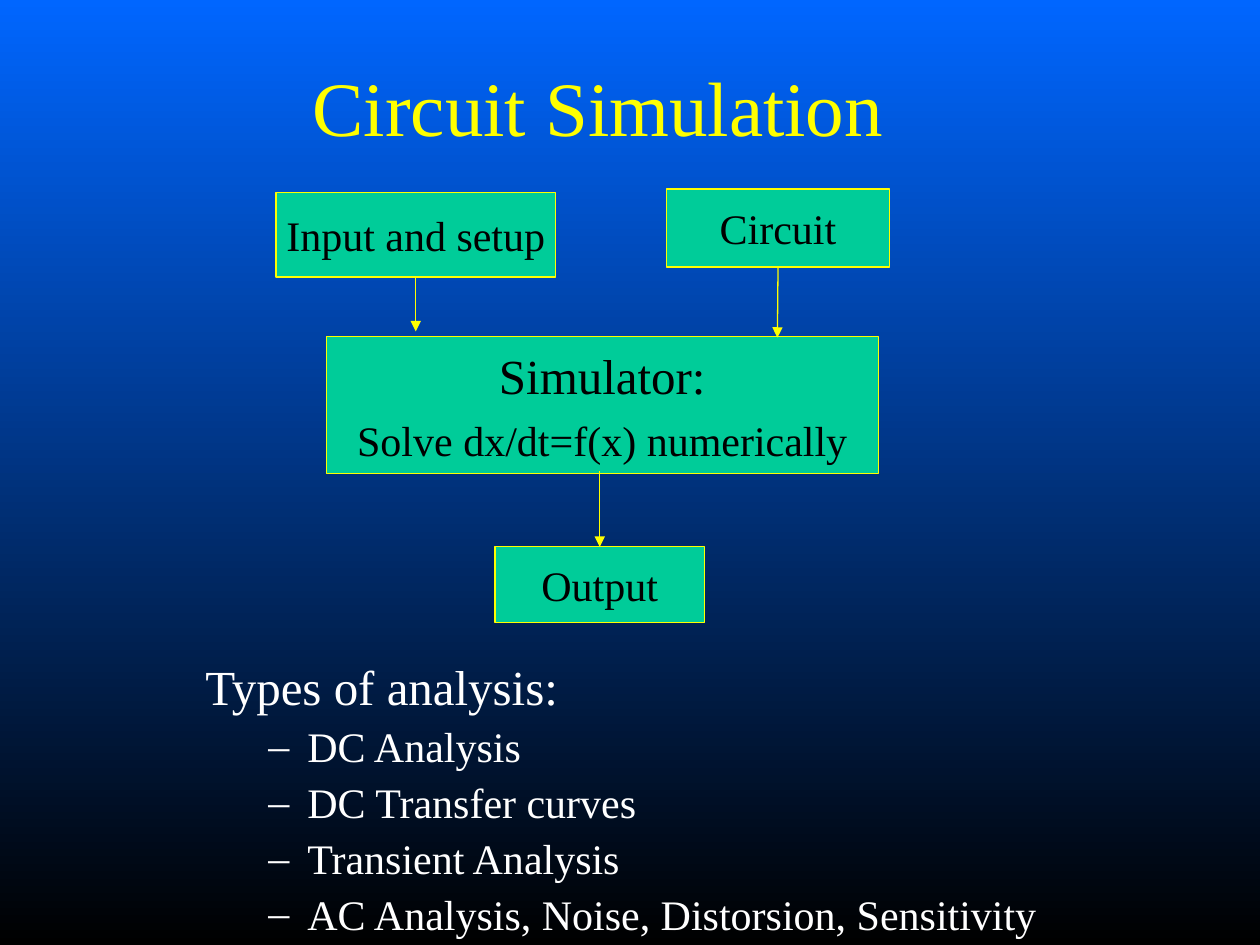
from lxml import etree
from pptx import Presentation
from pptx.dml.color import RGBColor
from pptx.enum import shapes, text
from pptx.oxml import ns
from pptx.util import Inches, Pt

BLUE = RGBColor(0x00, 0x66, 0xFF)
BLACK = RGBColor(0x00, 0x00, 0x00)
YELLOW = RGBColor(0xFF, 0xFF, 0x00)
GREEN = RGBColor(0x00, 0xCC, 0x99)
WHITE = RGBColor(0xFF, 0xFF, 0xFF)
FONT = "Times New Roman"
BOTTOM, TOP = 2, 0


def set_attrs(obj, values):
    """Set each attribute of obj from a dict of format values."""
    for name, value in values.items():
        setattr(obj, name, value)


def place(sp, box):
    """Move a shape to a (left, top, width, height) box in inches."""
    set_attrs(sp, dict(zip(("left", "top", "width", "height"), map(Inches, box))))


def set_frame(tf, anchor, wrap):
    """Set the anchor, wrapping and insets of a text frame."""
    set_attrs(tf, {"vertical_anchor": anchor, "word_wrap": wrap,
                   "auto_size": text.MSO_AUTO_SIZE.NONE,
                   "margin_left": Inches(0.1), "margin_right": Inches(0.1),
                   "margin_top": Inches(0.05), "margin_bottom": Inches(0.05)})


def write(p, words, size, color, **layout):
    """Write one formatted run into a paragraph."""
    set_attrs(p, layout)
    r = p.add_run()
    r.text = words
    set_attrs(r.font, {"name": FONT, "size": Pt(size)})
    r.font.color.rgb = color


def paragraphs(tf, count):
    """Return the first paragraph of a frame and as many more as needed."""
    return [tf.paragraphs[0]] + [tf.add_paragraph() for _ in range(count - 1)]


def add_background(s):
    """Fill the slide from blue at the top to black at the bottom."""
    fill = s.background.fill
    fill.gradient()
    fill.gradient_angle = 270
    for stop, color, position in zip(fill.gradient_stops, (BLUE, BLACK), (0, 1)):
        stop.color.rgb = color
        stop.position = position


def add_title(s, box, words):
    """Place the slide title."""
    sp = s.shapes.title
    place(sp, box)
    set_frame(sp.text_frame, text.MSO_ANCHOR.MIDDLE, True)
    write(sp.text_frame.paragraphs[0], words, 44, YELLOW,
          alignment=text.PP_ALIGN.CENTER)


def add_block(s, box, lines):
    """Add a green block with centred (words, size) lines."""
    sp = s.shapes.add_shape(shapes.MSO_SHAPE.RECTANGLE, *map(Inches, box))
    sp.shadow.inherit = False
    sp.fill.solid()
    sp.fill.fore_color.rgb = GREEN
    sp.line.color.rgb = YELLOW
    sp.line.width = Pt(0.75)
    tf = sp.text_frame
    set_frame(tf, text.MSO_ANCHOR.MIDDLE, False)
    for i, (p, (words, size)) in enumerate(zip(paragraphs(tf, len(lines)), lines)):
        write(p, words, size, BLACK, alignment=text.PP_ALIGN.CENTER,
              space_before=Pt(6 if i else 0))
    return sp


def add_arrow(s, x, top, bottom, source=None, target=None):
    """Add a downward arrow, joined to the given blocks."""
    cx = s.shapes.add_connector(shapes.MSO_CONNECTOR.STRAIGHT,
                                Inches(x), Inches(top), Inches(x), Inches(bottom))
    if source is not None:
        cx.begin_connect(source, BOTTOM)
    if target is not None:
        cx.end_connect(target, TOP)
    cx.line.color.rgb = YELLOW
    cx.line.width = Pt(0.75)
    etree.SubElement(cx.line._get_or_add_ln(), ns.qn("a:tailEnd"), type="triangle")
    etree.SubElement(cx._element.spPr, ns.qn("a:effectLst"))


def add_flow(s, box):
    """Draw the simulation flow diagram."""
    x, y, w, h = box
    add_block(s, (x + 0.4, y + 1.17, 4.38, 1.09),
              [("Simulator:", 28), ("Solve dx/dt=f(x) numerically", 24)])
    setup = add_block(s, (x, y + 0.03, 2.22, 0.67), [("Input and setup", 24)])
    circuit = add_block(s, (x + w - 1.77, y, 1.77, 0.62), [("Circuit", 24)])
    output = add_block(s, (x + 1.74, y + h - 0.6, 1.66, 0.6), [("Output", 24)])
    add_arrow(s, x + 1.11, y + 0.7, y + 1.13, source=setup)
    add_arrow(s, x + w - 0.89, y + 0.62, y + 1.18, source=circuit)
    add_arrow(s, x + 2.57, y + 2.24, y + h - 0.6, target=output)


def set_bullet(p, margin, hanging, char=None):
    """Set a hanging indent and a dash bullet, or no bullet."""
    pPr = p._p.get_or_add_pPr()
    pPr.set("marL", str(Inches(margin)))
    pPr.set("indent", str(-Inches(hanging)))
    if char is None:
        etree.SubElement(pPr, ns.qn("a:buNone"))
        return
    color = etree.SubElement(pPr, ns.qn("a:buClr"))
    etree.SubElement(color, ns.qn("a:srgbClr"), val=str(WHITE))
    etree.SubElement(pPr, ns.qn("a:buFont"), typeface=FONT)
    etree.SubElement(pPr, ns.qn("a:buChar"), char=char)


def add_list(s, box, heading, items):
    """Place a heading with its dashed list in the body placeholder."""
    sp = s.placeholders[1]
    place(sp, box)
    set_frame(sp.text_frame, text.MSO_ANCHOR.TOP, True)
    first, *rest = paragraphs(sp.text_frame, len(items) + 1)
    set_bullet(first, 0.38, 0.38)
    write(first, heading, 28, WHITE, line_spacing=0.9, space_before=Pt(0))
    for p, words in zip(rest, items):
        set_bullet(p, 0.81, 0.31, "–")
        write(p, words, 24, WHITE, level=1, line_spacing=0.9, space_before=Pt(6))


def main():
    """Build and save the slide."""
    prs = Presentation()
    set_attrs(prs, {"slide_width": Inches(10), "slide_height": Inches(7.5)})
    s = prs.slides.add_slide(prs.slide_layouts[1])
    add_background(s)
    add_title(s, (0.24, 0.25, 9.02, 1.17), "Circuit Simulation")
    add_flow(s, (2.19, 1.5, 4.87, 3.44))
    add_list(s, (1.53, 5.21, 6.96, 2.29), "Types of analysis:",
             ["DC Analysis", "DC Transfer curves", "Transient Analysis",
              "AC Analysis, Noise, Distorsion, Sensitivity"])
    prs.save("out.pptx")


if __name__ == "__main__":
    main()
